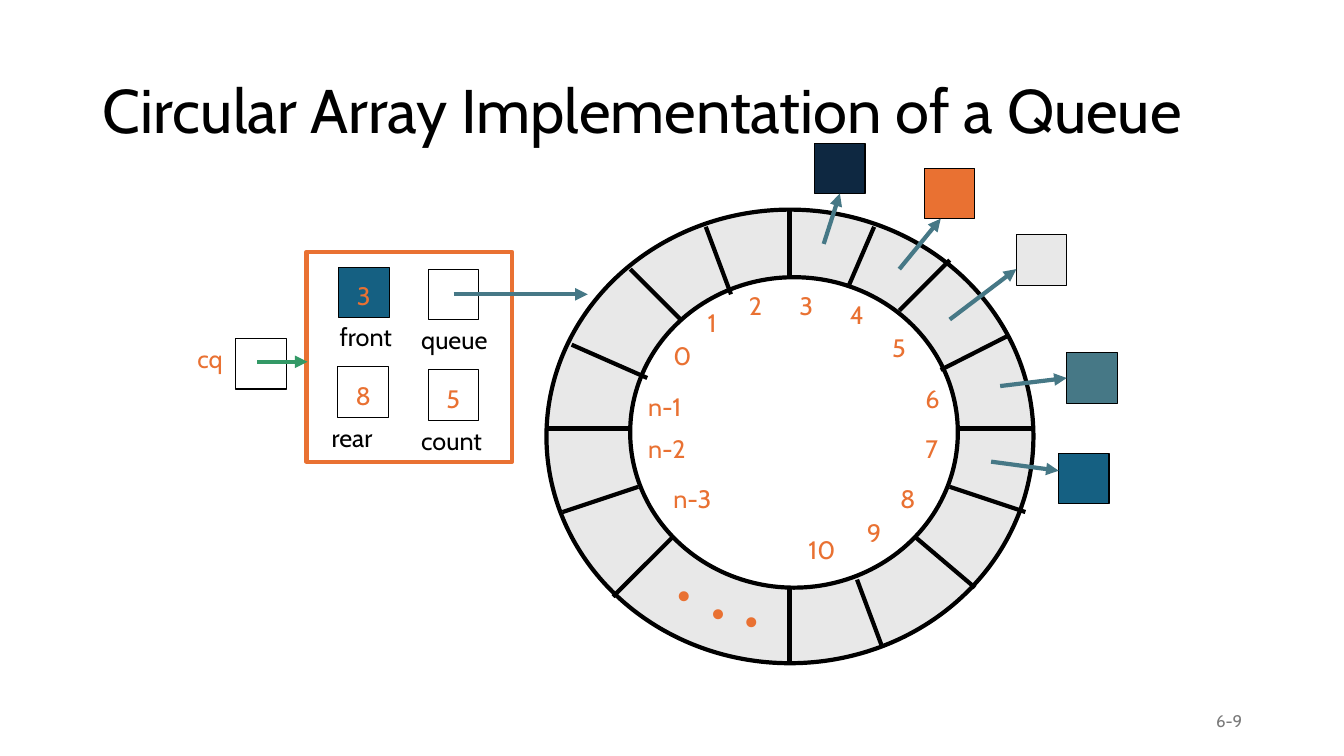
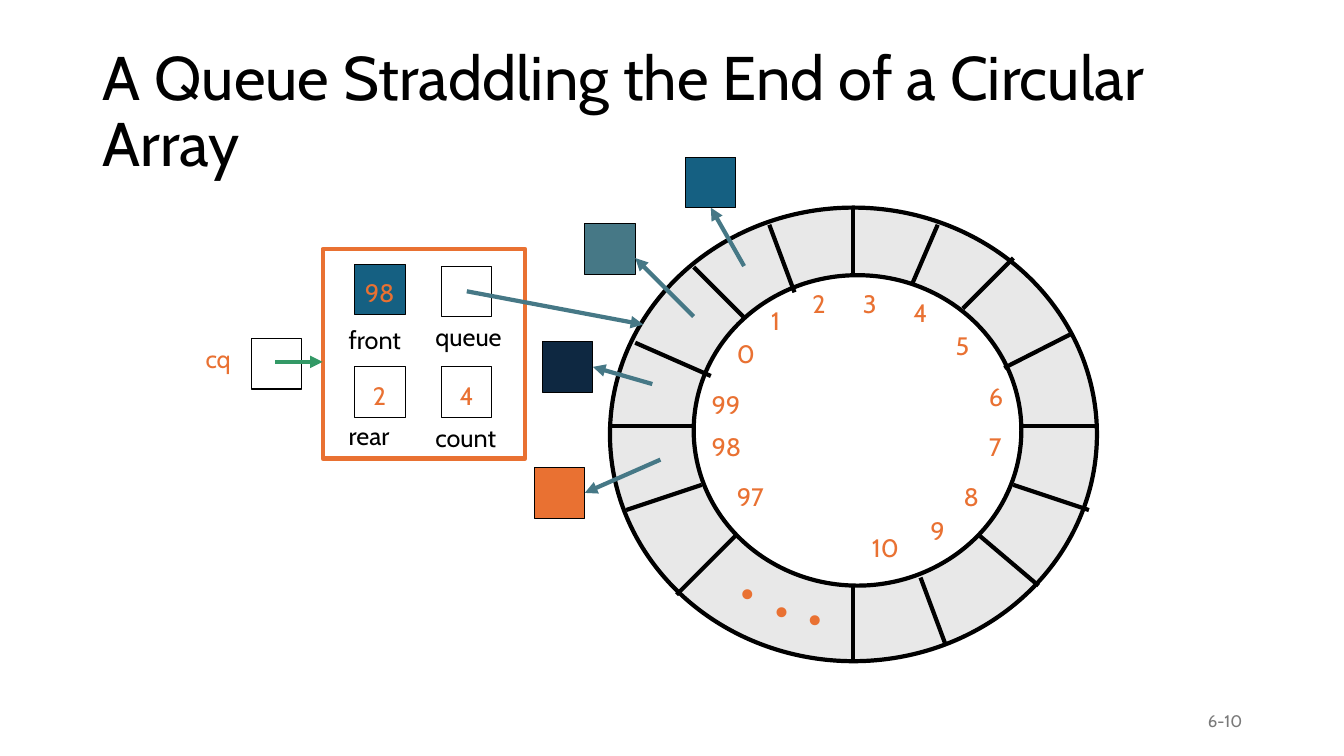
from pptx import Presentation
from pptx.dml.color import RGBColor
from pptx.enum.shapes import MSO_CONNECTOR, MSO_SHAPE
from pptx.enum.text import MSO_ANCHOR, MSO_AUTO_SIZE, PP_ALIGN
from pptx.oxml.ns import qn
from pptx.util import Emu, Pt
from lxml.etree import SubElement

BLACK = RGBColor(0x00, 0x00, 0x00)
WHITE = RGBColor(0xFF, 0xFF, 0xFF)
GREY = RGBColor(0x79, 0x79, 0x79)
SILVER = RGBColor(0xE8, 0xE8, 0xE8)
ORANGE = RGBColor(0xE9, 0x71, 0x32)
BLUE = RGBColor(0x15, 0x60, 0x82)
NAVY = RGBColor(0x0E, 0x28, 0x41)
TEAL = RGBColor(0x46, 0x78, 0x86)
GREEN = RGBColor(0x33, 0x99, 0x66)

SCALE = 9144
FONT = "Cabin"
DOT_FONT = "Times New Roman"
TILE = 50
TEXT_HEIGHT = 40
TITLE_AREA = (92, 40, 1150, 145)
NUMBER_AREA = (942, 695, 300, 40)
TOP, LEFT, BOTTOM, RIGHT = range(4)

OUTER_RING = (0, 0, 483, 450)
INNER_RING = (83, 67, 325, 308)
DIVIDERS = [
    ((83, 217), (0, 217)), ((408, 217), (483, 217)),
    ((241, 0), (241, 67)), ((241, 375), (241, 450)),
    ((83, 59), (133, 109)), ((366, 325), (425, 375)),
    ((125, 325), (66, 384)), ((400, 50), (350, 100)),
    ((158, 17), (183, 84)), ((308, 367), (333, 434)),
    ((25, 134), (100, 167)), ((400, 275), (475, 300)),
    ((325, 17), (300, 75)), ((458, 125), (391, 159)),
    ((16, 300), (91, 275)),
]
INDEX_PLACES = [
    (116, 125), (150, 92), (191, 75), (241, 75), (291, 84), (333, 117),
    (366, 167), (366, 217), (341, 267), (308, 300), (250, 317),
]
LAST_INDEX_PLACES = [(91, 175), (91, 217), (116, 267)]
DOT_PLACES = [(116, 300), (150, 317), (183, 325)]

SLIDES = [
    {
        "title": "Circular Array Implementation of a Queue",
        "number": "6-9",
        "ring": (542, 208),
        "last_indexes": ["n-1", "n-2", "n-3"],
        "panel": (304, 250, 204, 208),
        "fields": [
            ("front", (327, 314), (336, 265), "3", BLUE),
            ("queue", (408, 317), (425, 267), "", None),
            ("rear", (319, 414), (335, 364), "8", None),
            ("count", (408, 417), (425, 367), "5", None),
        ],
        "queue_arrow": ((450, 292), (583, 292)),
        "variable": ((186, 336), (234, 336)),
        "variable_arrow": ((255, 359), (305, 359)),
        "items": [
            ((808, 142), NAVY, (817, 242), (833, 192), BOTTOM),
            ((917, 167), ORANGE, (892, 267), (933, 217), None),
            ((1008, 233), SILVER, (942, 317), (1008, 267), None),
            ((1058, 350), TEAL, (992, 383), (1058, 375), LEFT),
            ((1050, 450), BLUE, (983, 458), (1050, 467), None),
        ],
    },
    {
        "title": "A Queue Straddling the End of a Circular Array",
        "number": "6-10",
        "ring": (605, 206),
        "last_indexes": ["99", "98", "97"],
        "panel": (320, 247, 201, 208),
        "fields": [
            ("front", (336, 317), (352, 262), "98", BLUE),
            ("queue", (422, 314), (438, 264), "", None),
            ("rear", (336, 412), (352, 364), "2", None),
            ("count", (422, 414), (438, 364), "4", None),
        ],
        "queue_arrow": ((463, 289), (638, 322)),
        "variable": ((194, 336), (249, 336)),
        "variable_arrow": ((273, 359), (320, 359)),
        "items": [
            ((538, 339), NAVY, (647, 381), (588, 364), RIGHT),
            ((530, 464), ORANGE, (655, 456), (580, 489), RIGHT),
            ((680, 156), BLUE, (738, 264), (705, 206), BOTTOM),
            ((580, 222), TEAL, (688, 314), (630, 256), None),
        ],
    },
]


def px(*lengths):
    return [Emu(length * SCALE) for length in lengths]


def shift(place, origin):
    return place[0] + origin[0], place[1] + origin[1]


def add_outline(page, kind, area, fill, line, weight):
    shape = page.shapes.add_shape(kind, *px(*area))
    shape.shadow.inherit = False
    if fill is None:
        shape.fill.background()
    else:
        shape.fill.solid()
        shape.fill.fore_color.rgb = fill
    shape.line.color.rgb = line
    shape.line.width = Pt(weight)
    return shape


def add_tile(page, place, fill=None):
    return add_outline(page, MSO_SHAPE.RECTANGLE, (*place, TILE, TILE), fill, BLACK, 0.75)


def add_line(page, start, end, color, arrow=False):
    line = page.shapes.add_connector(MSO_CONNECTOR.STRAIGHT, *px(*start, *end))
    line.line.color.rgb = color
    line.line.width = Pt(3)
    properties = line._element.spPr
    if arrow:
        SubElement(properties.find(qn("a:ln")), qn("a:tailEnd"), type="triangle")
    SubElement(properties, qn("a:effectLst"))
    return line


def format_text(frame, text, size, color, font=FONT):
    frame.text = text
    frame.word_wrap = True
    para = frame.paragraphs[0]
    for span in para.runs:
        span.font.name = font
        span.font.size = Pt(size)
        span.font.color.rgb = color
    return para


def add_label(page, place, text, width, color=ORANGE, size=18, font=FONT, height=TEXT_HEIGHT):
    box = page.shapes.add_textbox(*px(*place, width, height))
    format_text(box.text_frame, text, size, color, font)
    box.text_frame.auto_size = MSO_AUTO_SIZE.SHAPE_TO_FIT_TEXT


def add_page(deck, title, number):
    page = deck.slides.add_slide(deck.slide_layouts[5])
    heading = page.shapes.title
    heading.left, heading.top, heading.width, heading.height = px(*TITLE_AREA)
    para = format_text(heading.text_frame, title, 44, BLACK)
    para.alignment = PP_ALIGN.LEFT
    para.line_spacing = 0.9
    heading.text_frame.vertical_anchor = MSO_ANCHOR.MIDDLE
    heading.text_frame.auto_size = MSO_AUTO_SIZE.NONE
    footer = page.shapes.add_textbox(*px(*NUMBER_AREA))
    format_text(footer.text_frame, number, 12, GREY).alignment = PP_ALIGN.RIGHT
    footer.text_frame.vertical_anchor = MSO_ANCHOR.MIDDLE
    return page


def add_ring(page, origin, last_indexes):
    for area, fill in ((OUTER_RING, SILVER), (INNER_RING, WHITE)):
        add_outline(page, MSO_SHAPE.OVAL, (*shift(area[:2], origin), *area[2:]), fill, BLACK, 3)
    for start, end in DIVIDERS:
        add_line(page, shift(start, origin), shift(end, origin), BLACK)
    for index, place in enumerate(INDEX_PLACES):
        add_label(page, shift(place, origin), str(index), 39 if index < 10 else 58)
    for text, place in zip(last_indexes, LAST_INDEX_PLACES):
        add_label(page, shift(place, origin), text, 75)
    for place in DOT_PLACES:
        add_label(page, shift(place, origin), ".", 33, size=60, font=DOT_FONT, height=110)


def add_record(page, content):
    add_outline(page, MSO_SHAPE.RECTANGLE, content["panel"], None, ORANGE, 3)
    for name, name_place, tile_place, value, fill in content["fields"]:
        add_tile(page, tile_place, fill)
        add_label(page, name_place, name, 100, BLACK)
        if value:
            indent, width = (8, 39) if len(value) == 1 else (0, 58)
            add_label(page, shift(tile_place, (indent, 8)), value, width)
    add_line(page, *content["queue_arrow"], TEAL, arrow=True)
    name_place, tile_place = content["variable"]
    add_label(page, name_place, "cq", 74)
    add_tile(page, tile_place)
    add_line(page, *content["variable_arrow"], GREEN, arrow=True)


def add_items(page, items):
    for place, fill, start, end, side in items:
        tile = add_tile(page, place, fill)
        arrow = add_line(page, start, end, TEAL, arrow=True)
        if side is not None:
            arrow.end_connect(tile, side)


def main():
    deck = Presentation()
    deck.slide_width, deck.slide_height = px(1333, 750)
    for content in SLIDES:
        page = add_page(deck, content["title"], content["number"])
        add_ring(page, content["ring"], content["last_indexes"])
        add_record(page, content)
        add_items(page, content["items"])
    deck.save("out.pptx")


if __name__ == "__main__":
    main()
